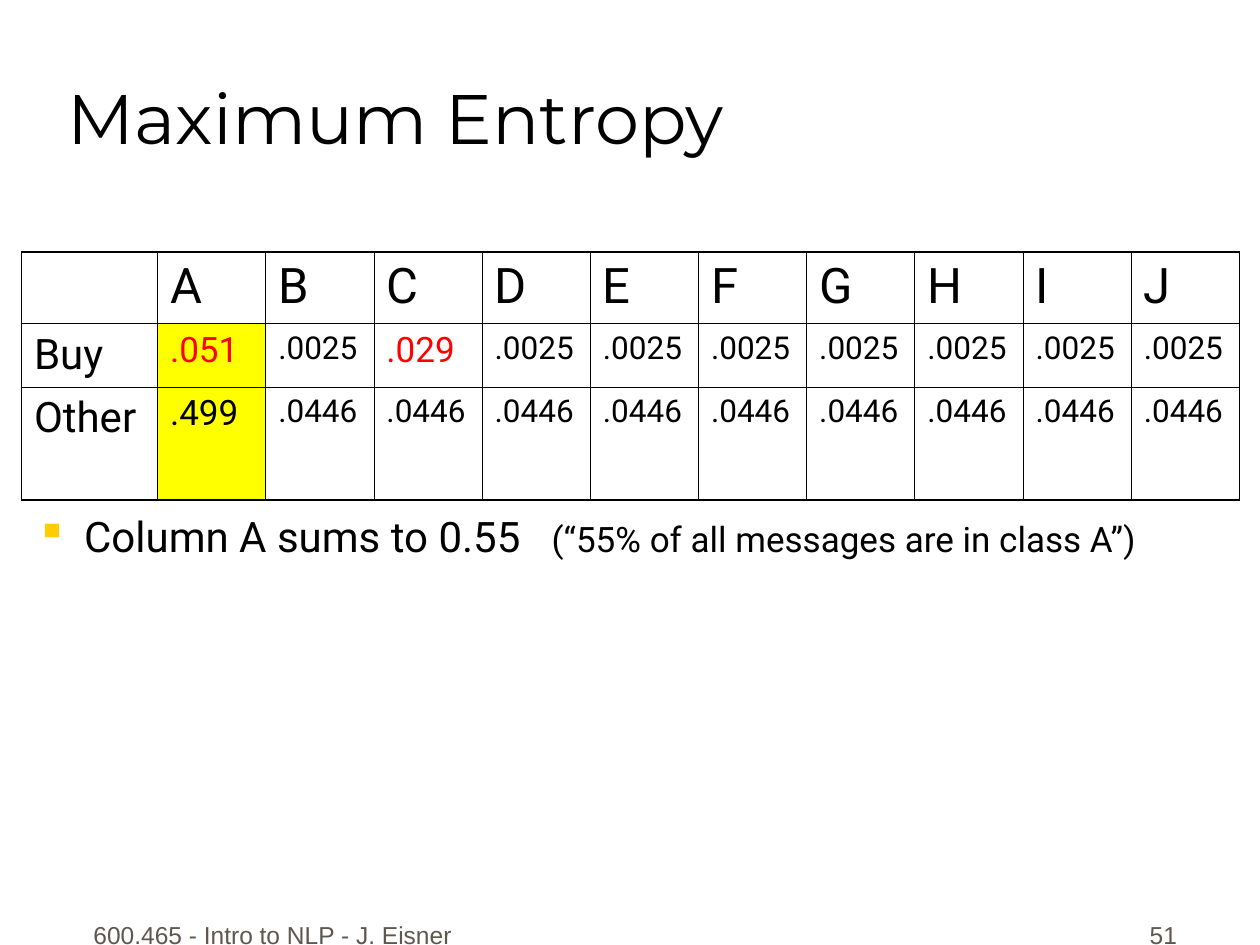
"""Build the Maximum Entropy slide with its probability table."""
from lxml.etree import SubElement
from pptx import Presentation
from pptx.dml.color import RGBColor
from pptx.enum.text import MSO_ANCHOR, PP_ALIGN
from pptx.oxml.ns import qn
from pptx.util import Inches, Pt

COLORS = {"black": "000000", "red": "FF0000", "yellow": "FFFF00",
          "gold": "FFCC00", "footer": "5E574E"}

prs = Presentation()
prs.slide_width, prs.slide_height = Inches(10), Inches(7.5)
col, row = prs.slide_width / 100, prs.slide_height / 100
slide = prs.slides.add_slide(prs.slide_layouts[6])


def add_box(x, y, w, h, anchor):
    box = slide.shapes.add_textbox(int(x * col), int(y * row), int(w * col), int(h * row))
    tf = box.text_frame
    tf.word_wrap = True
    tf.vertical_anchor = anchor
    return tf.paragraphs[0]


def add_run(p, text, size, font="Roboto", color="black"):
    r = p.add_run()
    r.text = text
    r.font.size, r.font.name = Pt(size), font
    r.font.color.rgb = RGBColor.from_string(COLORS[color])


for x, w, align, text in [(5.8, 31.7, PP_ALIGN.CENTER, "600.465 - Intro to NLP - J. Eisner"),
                          (73.6, 20.8, PP_ALIGN.RIGHT, "51")]:
    p = add_box(x, 94.4, w, 6.67, MSO_ANCHOR.BOTTOM)
    p.alignment = align
    add_run(p, text, 14, "Arial", "footer")

p = add_box(4.4, 0.8, 85, 16.67, MSO_ANCHOR.BOTTOM)
add_run(p, "Maximum Entropy", 40, "Montserrat")

rows = [["", *"ABCDEFGHIJ"],
        ["Buy", ".051", ".0025", ".029", *[".0025"] * 7],
        ["Other", ".499", *[".0446"] * 9]]
heights = [7.6, 6.67, 12]
last_row, last_col = len(rows) - 1, len(rows[0]) - 1
frame = slide.shapes.add_table(len(rows), len(rows[0]), int(1.7 * col), int(26.67 * row),
                               int(96.7 * col), int(sum(heights) * row))
table = frame.table
table.first_row = table.horz_banding = False
for j, column in enumerate(table.columns):
    column.width = int((8.59 if j else 10.8) * col)

for i, values in enumerate(rows):
    table.rows[i].height = int(heights[i] * row)
    for j, value in enumerate(values):
        cell = table.cell(i, j)
        tcPr = cell._tc.get_or_add_tcPr()
        edges = {"a:lnL": j == 0, "a:lnR": j == last_col,
                 "a:lnT": i == 0, "a:lnB": i == last_row}
        for tag, outer in edges.items():
            ln = SubElement(tcPr, qn(tag), w=str(Pt(1.08 if outer else 0.45)))
            fill = SubElement(ln, qn("a:solidFill"))
            SubElement(fill, qn("a:srgbClr"), val=COLORS["black"])
        if i and j == 1:
            cell.fill.solid()
            cell.fill.fore_color.rgb = RGBColor.from_string(COLORS["yellow"])
        else:
            cell.fill.background()
        if value:
            size = 28 if i == 0 else 24 if j == 0 else 20 if len(value) == 4 else 18
            color = "red" if value in (".051", ".029") else "black"
            add_run(cell.text_frame.paragraphs[0], value, size, color=color)

p = add_box(1.9, 53.33, 95.6, 6.67, MSO_ANCHOR.TOP)
pPr = p._p.get_or_add_pPr()
pPr.set("marL", str(Inches(0.38)))
pPr.set("indent", str(-Inches(0.38)))
SubElement(SubElement(pPr, qn("a:buClr")), qn("a:srgbClr"), val=COLORS["gold"])
SubElement(pPr, qn("a:buChar"), char="▪")
tabs = SubElement(pPr, qn("a:tabLst"))
SubElement(tabs, qn("a:tab"), pos=str(Inches(4.09)), algn="l")
add_run(p, "Column A sums to 0.55\t", 24)
add_run(p, "(“55% of all messages are in class A”)", 20)

prs.save("out.pptx")
